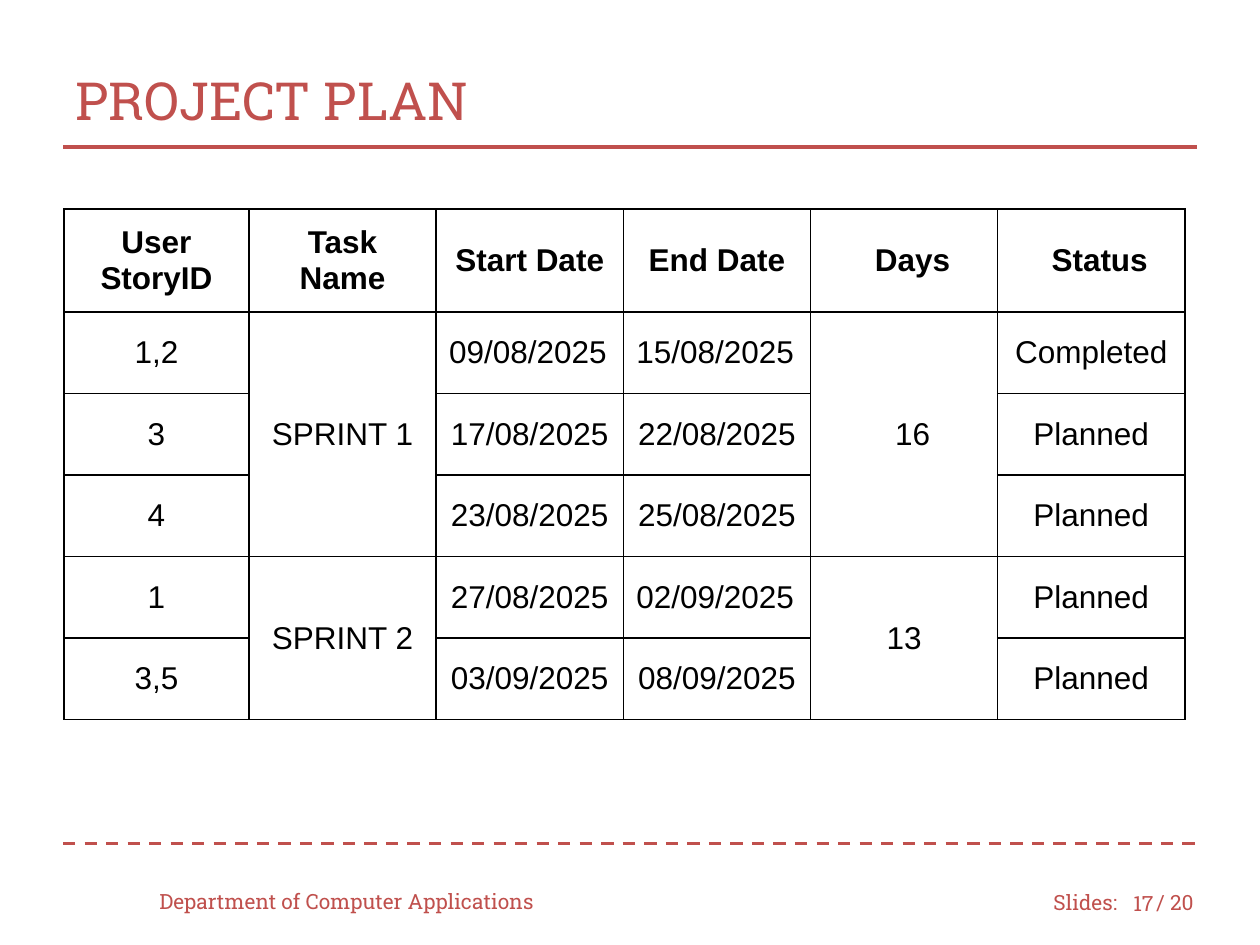
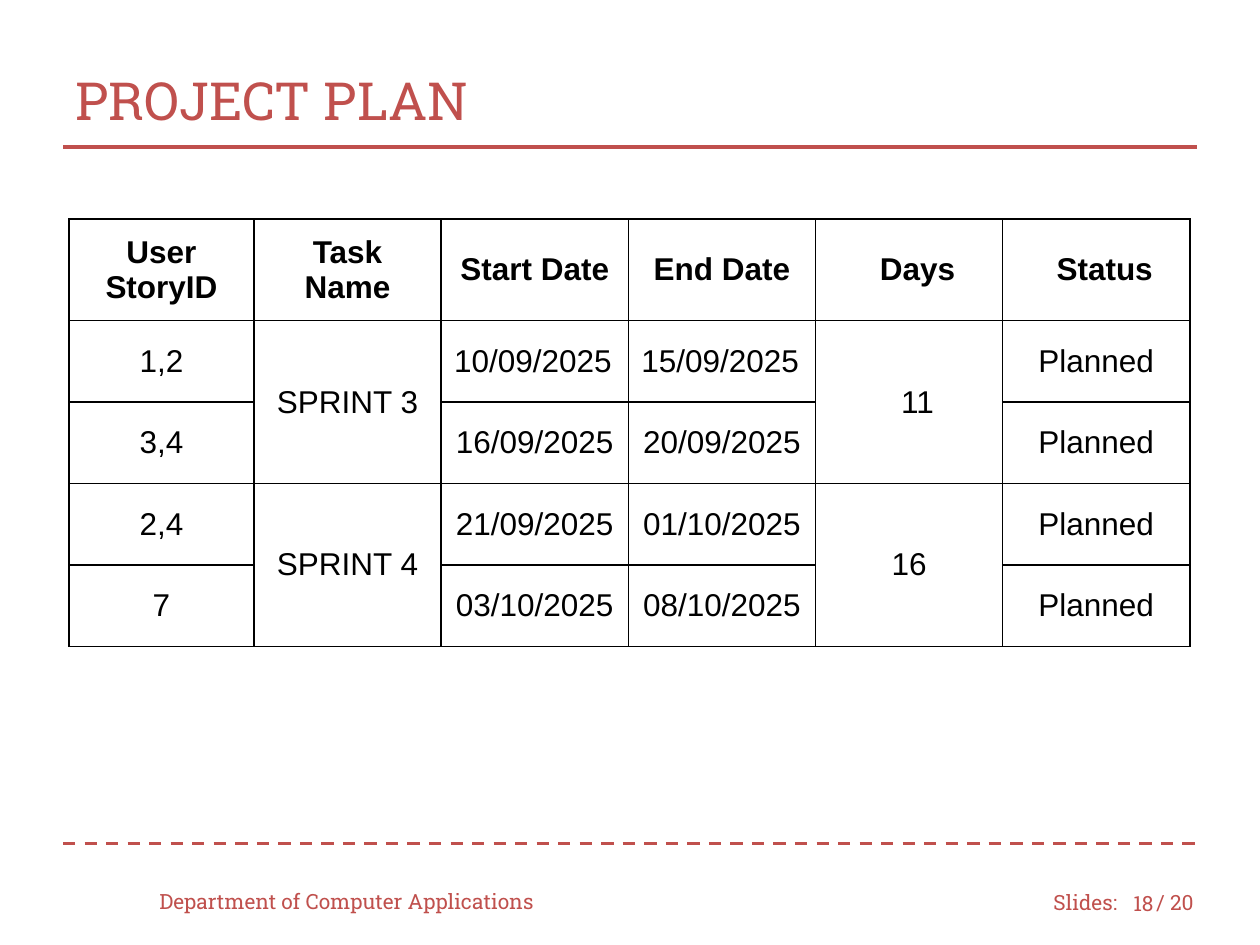
from lxml.etree import SubElement
from pptx import Presentation
from pptx.dml.color import RGBColor
from pptx.enum.dml import MSO_LINE
from pptx.enum.shapes import MSO_CONNECTOR
from pptx.enum.text import MSO_ANCHOR, MSO_AUTO_SIZE, PP_ALIGN
from pptx.oxml.ns import qn
from pptx.util import Emu, Pt

PIXELS_PER_INCH = 126
ACCENT, BLACK, WHITE = "C0504D", "000000", "FFFFFF"
HEADING_FONT, TABLE_FONT = "Roboto Slab", "Arial"

HEADERS = ["User\nStoryID", "Task Name", "Start Date", "End Date", "Days", "Status"]
TASK_COLUMN, DAYS_COLUMN = 1, 4
TABLE_WIDTH, FIRST_COLUMN_WIDTH = 1121, 185
CELL_MARGIN, NUDGED_MARGIN = 13, 30
NUDGED_CELLS = {(0, 4), (0, 5), (1, 4)}

PLANS = [
    {
        "number": "17", "left": 64, "top": 209, "header_height": 103, "body_height": 408,
        "left_aligned": {(1, 2), (1, 3), (4, 3)},
        "sprints": [
            ("SPRINT 1", "16", [
                ("1,2", "09/08/2025", "15/08/2025", "Completed"),
                ("3", "17/08/2025", "22/08/2025", "Planned"),
                ("4", "23/08/2025", "25/08/2025", "Planned"),
            ]),
            ("SPRINT 2", "13", [
                ("1", "27/08/2025", "02/09/2025", "Planned"),
                ("3,5", "03/09/2025", "08/09/2025", "Planned"),
            ]),
        ],
    },
    {
        "number": "18", "left": 69, "top": 219, "header_height": 96, "body_height": 326,
        "left_aligned": {(1, 2), (1, 3)},
        "sprints": [
            ("SPRINT 3", "11", [
                ("1,2", "10/09/2025", "15/09/2025", "Planned"),
                ("3,4", "16/09/2025", "20/09/2025", "Planned"),
            ]),
            ("SPRINT 4", "16", [
                ("2,4", "21/09/2025", "01/10/2025", "Planned"),
                ("7", "03/10/2025", "08/10/2025", "Planned"),
            ]),
        ],
    },
]


def px(pixels):
    """Turn pixels into EMU."""
    return Emu(round(pixels * 914400 / PIXELS_PER_INCH))


def color(hex_string):
    """Turn a hex string into a colour."""
    return RGBColor.from_string(hex_string)


def add_run(paragraph, text, size, font_name, hex_string, bold=False):
    """Add one formatted run to a paragraph."""
    run = paragraph.add_run()
    run.text = text
    run.font.size = Pt(size)
    run.font.name = font_name
    run.font.bold = bold
    run.font.color.rgb = color(hex_string)


def add_label(slide, text, left, top, width, alignment=PP_ALIGN.LEFT):
    """Add a small footer text box."""
    shape = slide.shapes.add_textbox(px(left), px(top), px(width), px(50))
    frame = shape.text_frame
    frame.word_wrap = True
    frame.vertical_anchor = MSO_ANCHOR.MIDDLE
    paragraph = frame.paragraphs[0]
    paragraph.alignment = alignment
    add_run(paragraph, text, 12, HEADING_FONT, ACCENT)
    return shape


def add_rule(slide, top, dash_style=None):
    """Add a horizontal rule across the content width."""
    rule = slide.shapes.add_connector(
        MSO_CONNECTOR.STRAIGHT, px(63), px(top), px(1197), px(top))
    rule.line.color.rgb = color(ACCENT)
    rule.line.width = Pt(1.75)
    if dash_style is not None:
        rule.line.dash_style = dash_style
    SubElement(rule.element.spPr, qn("a:effectLst"))
    return rule


def furnish_layout(layout, slide):
    """Build the shared rules and page labels and move them to the layout."""
    shared_shapes = [
        add_label(slide, "Slides:", 1041, 877, 95),
        add_label(slide, "/ 20", 1144, 877, 73),
        add_rule(slide, 844, MSO_LINE.DASH),
        add_rule(slide, 147),
    ]
    for shape in shared_shapes:
        layout.shapes.element.append(shape.element)


def set_title(slide, text):
    """Place and fill the title placeholder."""
    title = slide.shapes.title
    title.left, title.top, title.width, title.height = px(63), px(42), px(1134), px(116)
    frame = title.text_frame
    frame.auto_size = MSO_AUTO_SIZE.NONE
    frame.vertical_anchor = MSO_ANCHOR.MIDDLE
    paragraph = frame.paragraphs[0]
    paragraph.alignment = PP_ALIGN.LEFT
    add_run(paragraph, text, 30, HEADING_FONT, ACCENT)


def set_borders(cell):
    """Draw a thin black line on each side of a cell."""
    properties = cell._tc.get_or_add_tcPr()
    for side in ("a:lnL", "a:lnR", "a:lnT", "a:lnB"):
        line = SubElement(properties, qn(side), w=str(Pt(1)))
        fill = SubElement(line, qn("a:solidFill"))
        SubElement(fill, qn("a:srgbClr"), val=BLACK)


def format_cell(cell, nudged):
    """Give a cell its borders, fill, margins and anchor."""
    set_borders(cell)
    cell.fill.solid()
    cell.fill.fore_color.rgb = color(WHITE)
    cell.vertical_anchor = MSO_ANCHOR.MIDDLE
    cell.margin_left = px(NUDGED_MARGIN if nudged else CELL_MARGIN)
    cell.margin_right = cell.margin_top = cell.margin_bottom = px(CELL_MARGIN)


def fill_cell(cell, text, alignment, bold):
    """Write each line of text as a paragraph of the cell."""
    frame = cell.text_frame
    for index, line in enumerate(text.split("\n")):
        paragraph = frame.add_paragraph() if index else frame.paragraphs[0]
        paragraph.alignment = alignment
        add_run(paragraph, line, 18, TABLE_FONT, BLACK, bold)


def plan_rows(sprints):
    """List the table rows, naming each sprint in its first row only."""
    rows = [HEADERS]
    for name, days, stories in sprints:
        for index, (story, start, end, status) in enumerate(stories):
            task, length = ("", "") if index else (name, days)
            rows.append([story, task, start, end, length, status])
    return rows


def merge_sprints(table, sprints):
    """Merge the task and days cells over the rows of each sprint."""
    first_row = 1
    for _, _, stories in sprints:
        last_row = first_row + len(stories) - 1
        for column in (TASK_COLUMN, DAYS_COLUMN):
            table.cell(first_row, column).merge(table.cell(last_row, column))
        first_row = last_row + 1


def size_table(table, plan):
    """Set the header row and first column, and share out the rest."""
    first_column, *other_columns = table.columns
    first_column.width = px(FIRST_COLUMN_WIDTH)
    for column in other_columns:
        column.width = px(TABLE_WIDTH - FIRST_COLUMN_WIDTH) // len(other_columns)
    header_row, *body_rows = table.rows
    header_row.height = px(plan["header_height"])
    for row in body_rows:
        row.height = px(plan["body_height"]) // len(body_rows)


def add_plan_table(slide, plan):
    """Add the sprint schedule table."""
    rows = plan_rows(plan["sprints"])
    table = slide.shapes.add_table(
        len(rows), len(HEADERS), px(plan["left"]), px(plan["top"]), px(TABLE_WIDTH),
        px(plan["header_height"] + plan["body_height"])).table
    table.first_row = table.horz_banding = False
    size_table(table, plan)
    for row_index, row in enumerate(rows):
        for column_index, text in enumerate(row):
            place = (row_index, column_index)
            cell = table.cell(*place)
            format_cell(cell, place in NUDGED_CELLS)
            if text:
                left_aligned = place in plan["left_aligned"]
                alignment = PP_ALIGN.LEFT if left_aligned else PP_ALIGN.CENTER
                fill_cell(cell, text, alignment, bold=row_index == 0)
    merge_sprints(table, plan["sprints"])


def add_plan_slide(presentation, layout, plan):
    """Add one project plan slide."""
    slide = presentation.slides.add_slide(layout)
    set_title(slide, "PROJECT PLAN")
    add_label(slide, "Department of Computer Applications", 147, 876, 420)
    add_label(slide, plan["number"], 1113, 878, 53, PP_ALIGN.RIGHT)
    add_plan_table(slide, plan)
    return slide


def main():
    """Build and save the presentation."""
    presentation = Presentation()
    presentation.slide_width, presentation.slide_height = px(1260), px(945)
    layout = presentation.slide_layouts.get_by_name("Title Only")
    slides = [add_plan_slide(presentation, layout, plan) for plan in PLANS]
    furnish_layout(layout, slides[0])
    presentation.save("out.pptx")


if __name__ == "__main__":
    main()
